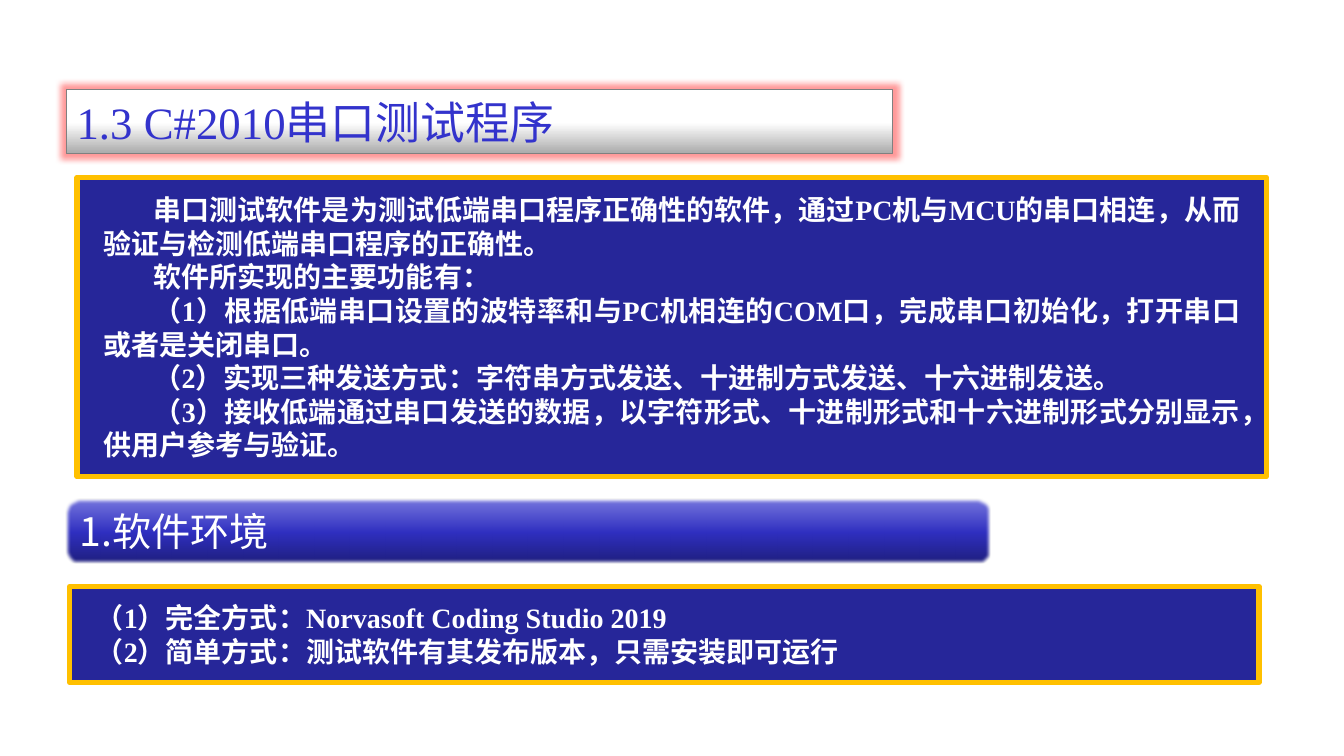
from lxml import etree
from pptx import Presentation
from pptx import util as u
from pptx.dml.color import RGBColor
from pptx.enum import shapes, text
from pptx.oxml import ns

TITLE = "1.3 C#2010串口测试程序"
FEATURES = [
    "串口测试软件是为测试低端串口程序正确性的软件，通过PC机与MCU的串口相连，从而验证与检测低端串口程序的正确性。",
    "软件所实现的主要功能有：",
    "（1）根据低端串口设置的波特率和与PC机相连的COM口，完成串口初始化，打开串口或者是关闭串口。",
    "（2）实现三种发送方式：字符串方式发送、十进制方式发送、十六进制发送。",
    "（3）接收低端通过串口发送的数据，以字符形式、十进制形式和十六进制形式分别显示，供用户参考与验证。",
]
SECTION = "1.软件环境"
ENVIRONMENT = [
    "（1）完全方式：Norvasoft Coding Studio 2019",
    "（2）简单方式：测试软件有其发布版本，只需安装即可运行",
]

# left, top, width, height in points
TITLE_BOX = (47.5, 64, 590, 45.5)
FEATURES_BOX = (55, 126.7, 849.6, 213.8)
SECTION_BOX = (47.5, 356.4, 659.5, 46)
ENVIRONMENT_BOX = (49.7, 419, 849.6, 68.4)

TITLE_STOPS = [(0, "ABABAB"), (48, "FFFFFF"), (100, "FFFFFF")]
SECTION_STOPS = [(0, "1E1E7C"), (48, "2F2FC0"), (100, "7878DE")]


def color(hex_string):
    return RGBColor.from_string(hex_string)


def child(parent, tag, **attributes):
    return etree.SubElement(parent, ns.qn(tag), {k: str(v) for k, v in attributes.items()})


def place(shape, box):
    shape.left, shape.top, shape.width, shape.height = map(u.Pt, box)


def set_outline(shape, hex_string, width):
    shape.line.color.rgb = color(hex_string)
    shape.line.width = u.Pt(width)


def set_font(paragraph, name, size, hex_string, bold=False):
    font = paragraph.font
    font.name, font.size, font.bold = name, u.Pt(size), bold
    font.color.rgb = color(hex_string)


def style_banner(banner, label, stops, font_name, size, hex_string):
    """Give a rounded heading its upward gradient and text; return its effect list."""
    banner.fill.background()
    set_outline(banner, "808080", 0.75)
    banner.shadow.inherit = False
    properties = banner._element.spPr
    gradient = etree.Element(ns.qn("a:gradFill"), rotWithShape="1")
    stop_list = child(gradient, "a:gsLst")
    for position, stop_color in stops:
        child(child(stop_list, "a:gs", pos=position * 1000), "a:srgbClr", val=stop_color)
    child(gradient, "a:lin", ang=270 * 60000, scaled=1)
    properties.replace(properties.find(ns.qn("a:noFill")), gradient)

    frame = banner.text_frame
    frame.text = label
    frame.word_wrap = False
    frame.auto_size = text.MSO_AUTO_SIZE.NONE
    frame.vertical_anchor = text.MSO_ANCHOR.TOP
    paragraph = frame.paragraphs[0]
    paragraph.alignment = text.PP_ALIGN.LEFT
    set_font(paragraph, font_name, size, hex_string)
    return properties.find(ns.qn("a:effectLst"))


def fill_panel(panel, box, lines, first_indent):
    place(panel, box)
    panel.fill.solid()
    panel.fill.fore_color.rgb = color("262699")
    set_outline(panel, "FFC000", 3.75)
    frame = panel.text_frame
    frame.text = "\n".join(lines)
    frame.word_wrap = True
    frame.auto_size = text.MSO_AUTO_SIZE.NONE
    frame.vertical_anchor = text.MSO_ANCHOR.MIDDLE
    frame.margin_left = frame.margin_right = u.Pt(18.7)
    frame.margin_top = frame.margin_bottom = u.Pt(10)
    for paragraph in frame.paragraphs:
        paragraph.alignment = text.PP_ALIGN.JUSTIFY
        paragraph.space_before = u.Pt(0)
        layout = paragraph._p.get_or_add_pPr()
        layout.set("marL", "0")
        layout.set("indent", str(u.Pt(first_indent)))
        child(layout, "a:buNone")
        set_font(paragraph, "Times New Roman", 20, "FFFFFF", bold=True)


prs = Presentation()
prs.slide_width, prs.slide_height = u.Pt(960), u.Pt(540)
slide = prs.slides.add_slide(prs.slide_layouts.get_by_name("Two Content"))
title, features, environment = list(slide.placeholders)[:3]

place(title, TITLE_BOX)
child(child(title._element.spPr, "a:prstGeom", prst="roundRect"), "a:avLst")
title_effects = style_banner(title, TITLE, TITLE_STOPS, "Times New Roman", 32, "3333CC")
glow = child(title_effects, "a:glow", rad=u.Pt(8))
child(child(glow, "a:srgbClr", val="FF0000"), "a:alpha", val=40000)

fill_panel(features, FEATURES_BOX, FEATURES, 36)

section = slide.shapes.add_shape(
    shapes.MSO_SHAPE.ROUNDED_RECTANGLE, *map(u.Pt, SECTION_BOX))
section_effects = style_banner(
    section, SECTION, SECTION_STOPS, "Noto Sans CJK SC", 28, "FFFFFF")
child(section_effects, "a:softEdge", rad=u.Pt(2.5))

fill_panel(environment, ENVIRONMENT_BOX, ENVIRONMENT, 0)

prs.save("out.pptx")
